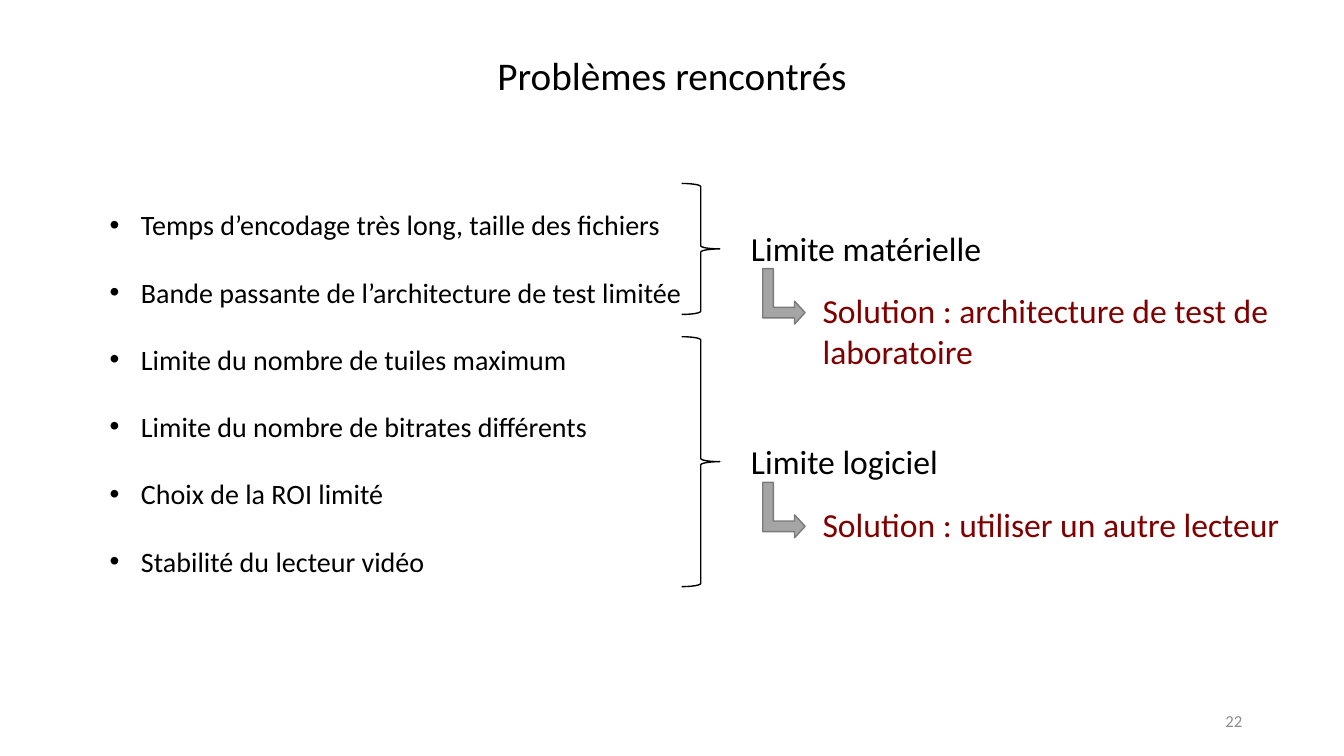
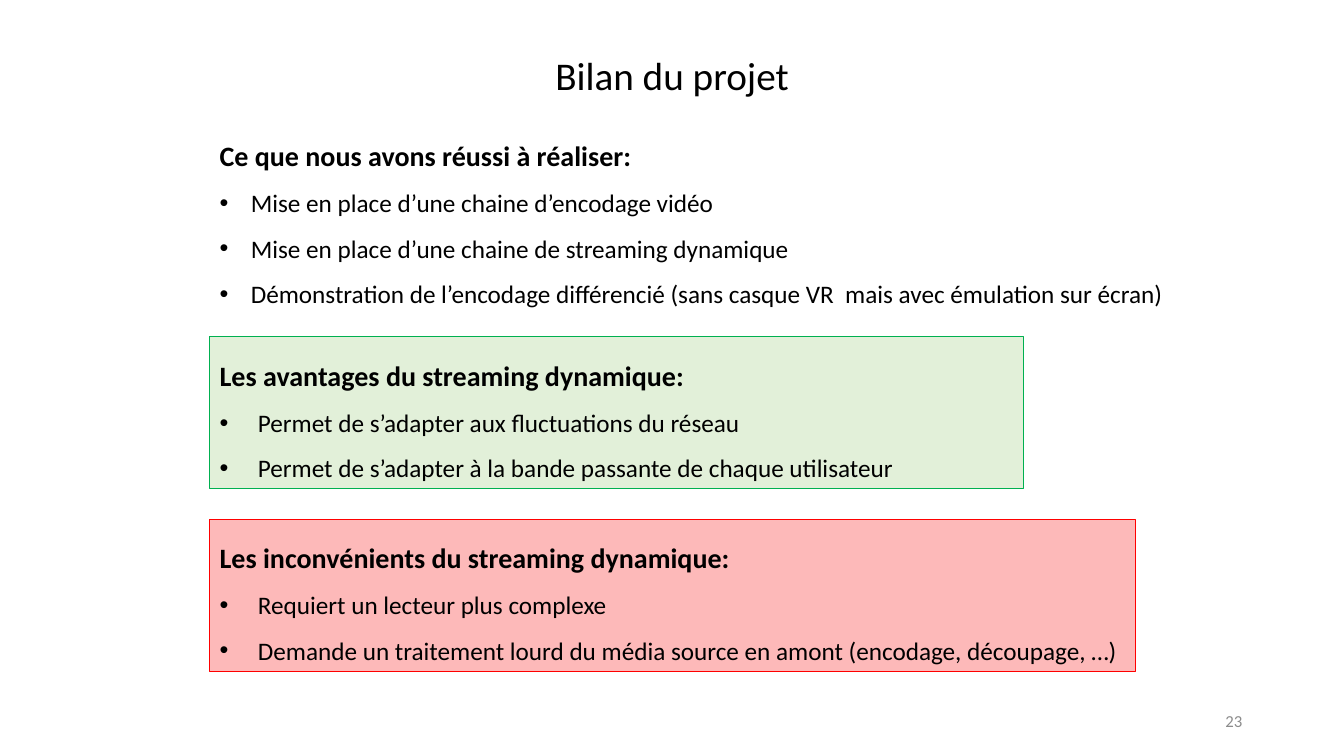
from pptx import Presentation
from pptx.dml.color import RGBColor
from pptx.enum.shapes import MSO_SHAPE as Shape
from pptx.enum.text import MSO_ANCHOR as Anchor, MSO_AUTO_SIZE as AutoSize, PP_ALIGN as Align
from pptx.oxml.xmlchemy import OxmlElement
from pptx.util import Pt

SCALE = 9144
FONT = "Calibri"
BLACK, MAROON, GREY = "000000", "800000", "8C8C8C"


def px(length):
    """Turn px into EMU."""
    return int(length * SCALE)


def color(code):
    """Turn a hex string into a colour."""
    return RGBColor.from_string(code)


def apply(target, values):
    """Set each format value on the target."""
    for name, value in values.items():
        setattr(target, name, value)


class Deck:
    """Hold the shared style and the current slide."""

    def __init__(self, first_number):
        """Open an empty deck whose numbering starts at first_number."""
        self.prs = Presentation()
        apply(self.prs, {"slide_width": px(1333), "slide_height": px(750)})
        self.number = first_number
        self.slide = None

    def new_slide(self, title):
        """Start a slide with its title and page number."""
        self.slide = self.prs.slides.add_slide(self.prs.slide_layouts[6])
        self.text((257, 46, 819, 57), title, 28, align=Align.CENTER)
        self.text((942, 695, 300, 40), str(self.number), 12, GREY, Align.RIGHT, Anchor.MIDDLE)
        self.number += 1

    def paragraph(self, frame, words, size, ink=BLACK, align=Align.LEFT,
                  bold=False, spacing=1.0, indent=0):
        """Add one paragraph, bulleted when it has an indent."""
        first = frame.paragraphs[0]
        para = frame.add_paragraph() if first.runs else first
        apply(para, {"alignment": align, "line_spacing": spacing})
        if indent:
            props = para._p.get_or_add_pPr()
            props.set("marL", str(px(indent)))
            props.set("indent", str(-px(indent)))
            for tag, key, value in (("a:buFont", "typeface", "Arial"), ("a:buChar", "char", "•")):
                mark = OxmlElement(tag)
                mark.set(key, value)
                props.append(mark)
        run = para.add_run()
        run.text = words
        apply(run.font, {"name": FONT, "size": Pt(size), "bold": bold})
        run.font.color.rgb = color(ink)

    def box(self, place, anchor=Anchor.TOP):
        """Add an empty wrapping text box and return its frame."""
        frame = self.slide.shapes.add_textbox(*map(px, place)).text_frame
        apply(frame, {"word_wrap": True, "vertical_anchor": anchor})
        return frame

    def text(self, place, words, size, ink=BLACK, align=Align.LEFT, anchor=Anchor.TOP):
        """Add a text box with one paragraph."""
        self.paragraph(self.box(place, anchor), words, size, ink, align)

    def shape(self, kind, place, line, width, fill=None, rotation=0, adjustments=()):
        """Add a preset shape without shadow."""
        item = self.slide.shapes.add_shape(kind, *map(px, place))
        item.shadow.inherit = False
        item.rotation = rotation
        for index, value in enumerate(adjustments):
            item.adjustments[index] = value
        if fill:
            item.fill.solid()
            item.fill.fore_color.rgb = color(fill)
        else:
            item.fill.background()
        item.line.color.rgb = color(line)
        item.line.width = Pt(width)
        return item

    def bullets(self, frame, items, size, spacing, indent):
        """Add justified bullet paragraphs."""
        for words in items:
            self.paragraph(frame, words, size, align=Align.JUSTIFY, spacing=spacing, indent=indent)

    def section(self, frame, heading, items, heading_spacing, indent):
        """Fill a frame with a bold heading and its bullets."""
        self.paragraph(frame, heading, 20, align=Align.JUSTIFY, bold=True, spacing=heading_spacing)
        self.bullets(frame, items, 18, 1.5, indent)

    def panel(self, place, fill, line, heading, items):
        """Add a coloured panel holding a section."""
        frame = self.shape(Shape.RECTANGLE, place, line, 0.75, fill).text_frame
        apply(frame, {"word_wrap": True, "vertical_anchor": Anchor.TOP,
                      "auto_size": AutoSize.SHAPE_TO_FIT_TEXT})
        self.section(frame, heading, items, 1.5, 38)

    def limit(self, brace_top, brace_height, label_top, label, solution, solution_height):
        """Add a brace, the limit it names and the solution below."""
        self.shape(Shape.RIGHT_BRACE, (676, brace_top, 38, brace_height), BLACK, 1)
        self.text((735, label_top, 272, 50), label, 24)
        self.shape(Shape.BENT_UP_ARROW, (750, label_top + 52, 55, 42), "7A7A7A", 1,
                   "A5A5A5", 90, (0.25, 0.27, 0.25))
        self.text((806, label_top + 62, 479, solution_height), solution, 24, MAROON)


def main():
    """Build and save both slides."""
    deck = Deck(22)

    deck.new_slide("Problèmes rencontrés")
    deck.bullets(deck.box((99, 168, 596, 414)), (
        "Temps d’encodage très long, taille des fichiers",
        "Bande passante de l’architecture de test limitée",
        "Limite du nombre de tuiles maximum",
        "Limite du nombre de bitrates différents",
        "Choix de la ROI limité",
        "Stabilité du lecteur vidéo",
    ), 20, 2.0, 31)
    deck.limit(182, 130, 221, "Limite matérielle",
               "Solution : architecture de test de laboratoire", 91)
    deck.limit(334, 248, 433, "Limite logiciel",
               "Solution : utiliser un autre lecteur", 50)

    deck.new_slide("Bilan du projet")
    deck.section(deck.box((208, 133, 966, 187)), "Ce que nous avons réussi à réaliser:", (
        "Mise en place d’une chaine d’encodage vidéo",
        "Mise en place d’une chaine de streaming dynamique",
        "Démonstration de l’encodage différencié (sans casque VR  mais avec émulation sur écran)",
    ), 1.0, 31)
    deck.panel((208, 334, 807, 151), "E2F0D9", "00B050", "Les avantages du streaming dynamique:", (
        "Permet de s’adapter aux fluctuations du réseau",
        "Permet de s’adapter à la bande passante de chaque utilisateur",
    ))
    deck.panel((208, 515, 918, 151), "FDB9B9", "FF0000", "Les inconvénients du streaming dynamique:", (
        "Requiert un lecteur plus complexe",
        "Demande un traitement lourd du média source en amont (encodage, découpage, …)",
    ))

    deck.prs.save("out.pptx")


if __name__ == "__main__":
    main()
